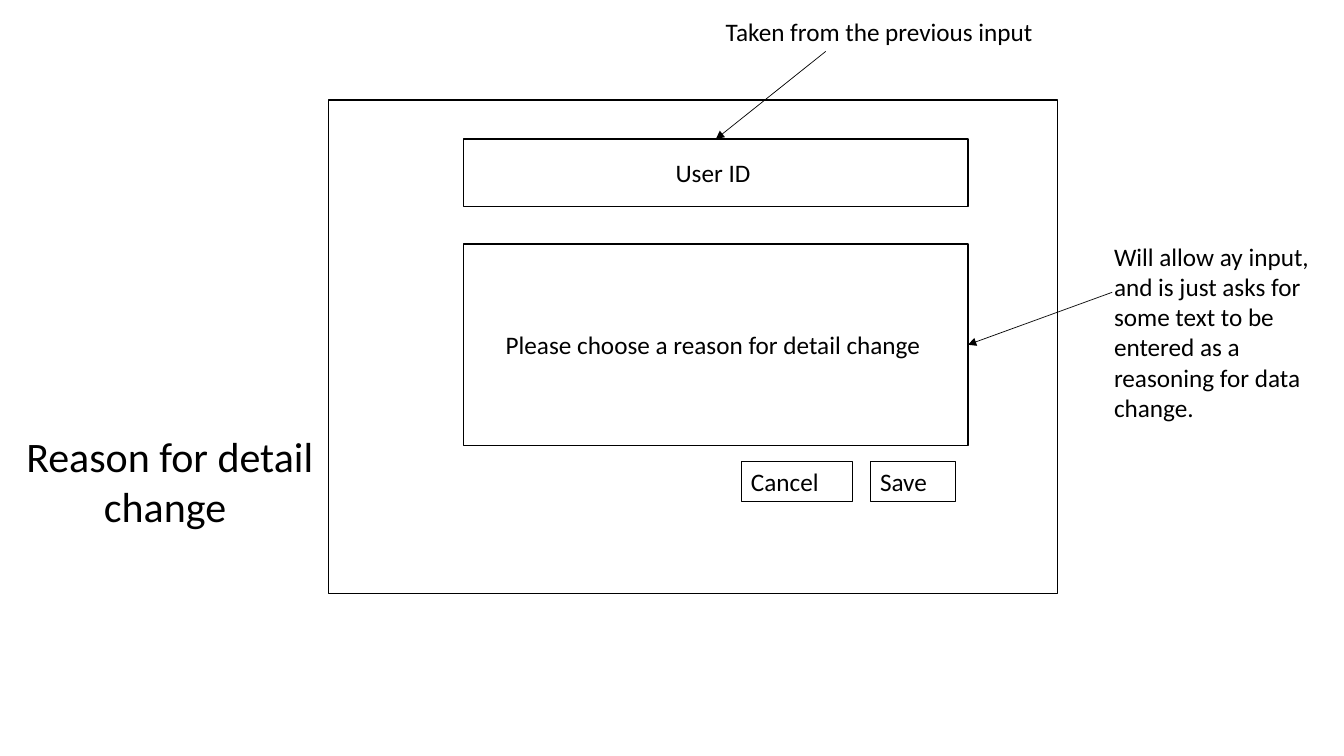
from lxml import etree
from pptx import Presentation
from pptx.dml.color import RGBColor
from pptx.enum.shapes import MSO_CONNECTOR, MSO_SHAPE
from pptx.enum.text import MSO_ANCHOR, MSO_AUTO_SIZE, PP_ALIGN
from pptx.oxml.ns import qn
from pptx.util import Inches, Pt

RECT, STRAIGHT = MSO_SHAPE.RECTANGLE, MSO_CONNECTOR.STRAIGHT
LEFT, CENTER = PP_ALIGN.LEFT, PP_ALIGN.CENTER
TOP, MIDDLE = MSO_ANCHOR.TOP, MSO_ANCHOR.MIDDLE
NO_FIT, GROW = MSO_AUTO_SIZE.NONE, MSO_AUTO_SIZE.SHAPE_TO_FIT_TEXT
TOP_SITE, RIGHT_SITE = 0, 3
TITLE_ONLY = 5
FONT = "Calibri"
COLORS = {"ink": "000000", "paper": "FFFFFF"}
WIDTH, HEIGHT = Inches(13.33), Inches(7.5)


def color(name):
    """Return a named colour."""
    return RGBColor.from_string(COLORS[name])


def place(x, y, *size):
    """Turn percent of the slide's width and height into lengths."""
    shares = (x, y, *size)
    return [round((HEIGHT if i % 2 else WIDTH) * v / 100)
            for i, v in enumerate(shares)]


def write(sp, text, size=18, align=LEFT, anchor=TOP, wrap=True, fit=GROW):
    """Put one formatted paragraph into a shape."""
    tf = sp.text_frame
    tf.word_wrap, tf.auto_size, tf.vertical_anchor = wrap, fit, anchor
    tf.margin_left = tf.margin_right = Inches(0.1)
    tf.margin_top = tf.margin_bottom = Inches(0.05)
    p = tf.paragraphs[0]
    p.alignment, p.line_spacing = align, 1.0
    r = p.add_run()
    r.text = text
    r.font.name, r.font.size = FONT, Pt(size)
    r.font.color.rgb = color("ink")


def add_box(s, box, text=None, line=1, **fmt):
    """Add an outlined white rectangle, with text if given."""
    sp = s.shapes.add_shape(RECT, *place(*box))
    sp.shadow.inherit = False
    sp.fill.solid()
    sp.fill.fore_color.rgb = color("paper")
    sp.line.color.rgb = color("ink")
    sp.line.width = Pt(line)
    if text:
        write(sp, text, **fmt)
    return sp


def add_note(s, box, text, **fmt):
    """Add an annotation beside the form."""
    write(s.shapes.add_textbox(*place(*box)), text, **fmt)


def add_arrow(s, start, target, site):
    """Draw a thin arrow from a point to a connection site of a shape."""
    x, y = place(*start)
    cn = s.shapes.add_connector(STRAIGHT, x, y, x, y)
    cn.end_connect(target, site)
    cn.line.color.rgb = color("ink")
    cn.line.width = Pt(0.5)
    etree.SubElement(cn.line._get_or_add_ln(), qn("a:tailEnd"), type="triangle")
    etree.SubElement(cn._element.spPr, qn("a:effectLst"))


def set_title(s, box, text):
    """Move and format the title placeholder."""
    sp = s.shapes.title
    sp.left, sp.top, sp.width, sp.height = place(*box)
    write(sp, text, size=30, align=CENTER)


def main():
    """Build the form mock-up with its annotations."""
    prs = Presentation()
    prs.slide_width, prs.slide_height = WIDTH, HEIGHT
    s = prs.slides.add_slide(prs.slide_layouts[TITLE_ONLY])
    set_title(s, (0, 56.27, 25.28, 14.8), "Reason for detail change ")

    add_box(s, (24.46, 13.2, 54.24, 65.33))
    user_id, reason = [
        add_box(s, (34.51, y, 37.51, h), text,
                align=CENTER, anchor=MIDDLE, fit=NO_FIT)
        for y, h, text in [
            (18.4, 8.93, "User ID "),
            (32.27, 26.67, "Please choose a reason for detail change ")]]
    for x, w, text in [(64.74, 6.38, "Save"), (55.14, 8.33, "Cancel")]:
        add_box(s, (x, 61.07, w, 5.33), text, line=0.75)

    add_arrow(s, (61.44, 6.8), user_id, TOP_SITE)
    add_note(s, (53.26, 1.47, 24.61, 5.33), "Taken from the previous input",
             wrap=False)
    add_arrow(s, (82.75, 38.67), reason, RIGHT_SITE)
    add_note(s, (82.15, 31.2, 16.8, 25.6),
             "Will allow ay input, and is just asks for some text to be "
             "entered as a reasoning for data change.")
    prs.save("out.pptx")


main()
